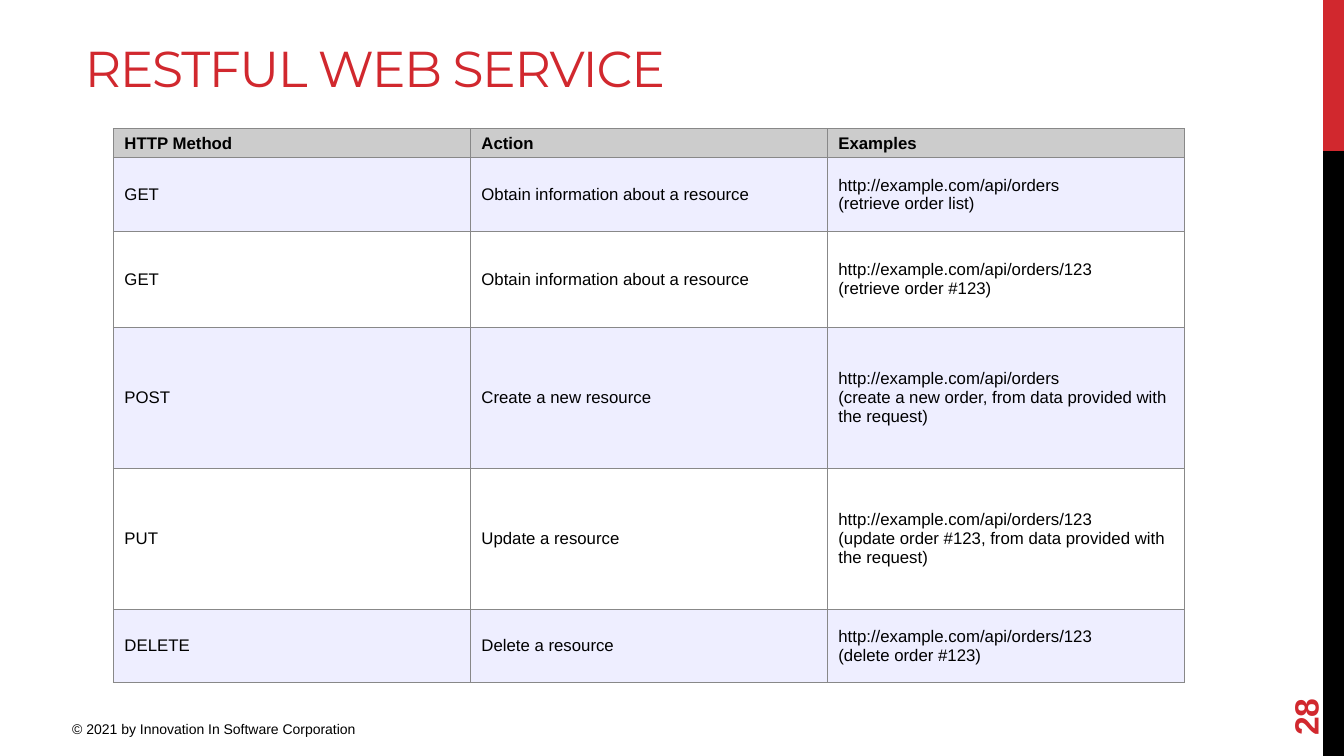
import pptx
import pptx.dml.color
import pptx.enum.shapes
import pptx.enum.text
import pptx.oxml
import pptx.oxml.ns
import pptx.util

Pt = pptx.util.Pt
ANCHOR = pptx.enum.text.MSO_ANCHOR

COLORS = {
    "red": "D1282E",
    "black": "000000",
    "header": "CCCCCC",
    "band": "EEEEFF",
    "plain": "FFFFFF",
    "border": "888888",
}
ROW_HEIGHTS = [20.88, 52.7, 68.5, 100.7, 100.7, 52.52]
METHODS = [
    ("HTTP Method", "Action", "Examples"),
    ("GET", "Obtain information about a resource",
     "http://example.com/api/orders\v(retrieve order list)"),
    ("GET", "Obtain information about a resource",
     "http://example.com/api/orders/123\v(retrieve order #123)"),
    ("POST", "Create a new resource",
     "http://example.com/api/orders\v(create a new order, from data provided with the request)"),
    ("PUT", "Update a resource",
     "http://example.com/api/orders/123\v(update order #123, from data provided with the request)"),
    ("DELETE", "Delete a resource",
     "http://example.com/api/orders/123\v(delete order #123)"),
]


def rgb(name):
    return pptx.dml.color.RGBColor.from_string(COLORS[name])


def set_font(para, size, color, name="Arial", bold=False):
    para.font.name = name
    para.font.size = Pt(size)
    para.font.bold = bold
    para.font.color.rgb = rgb(color)


def add_side_bar(page, left, top, width, height):
    """Red block over the top fifth, black below it."""
    split = height / 5
    for color, start, length in (("red", top, split), ("black", top + split, height - split)):
        bar = page.shapes.add_shape(pptx.enum.shapes.MSO_SHAPE.RECTANGLE,
                                    Pt(left), Pt(start), Pt(width), Pt(length))
        bar.shadow.inherit = False
        bar.fill.solid()
        bar.fill.fore_color.rgb = rgb(color)
        bar.line.fill.background()


def add_label(page, left, top, width, height, text, anchor=ANCHOR.TOP, **font):
    box = page.shapes.add_textbox(Pt(left), Pt(top), Pt(width), Pt(height))
    frame = box.text_frame
    frame.word_wrap = True
    frame.vertical_anchor = anchor
    frame.margin_left = frame.margin_right = Pt(3.6)
    frame.margin_top = frame.margin_bottom = Pt(3.6)
    frame.text = text
    set_font(frame.paragraphs[0], **font)
    return box


def add_title(page, left, top, width, height, text):
    box = add_label(page, left, top, width, height, text, ANCHOR.BOTTOM,
                    size=36, color="red", name="Montserrat")
    span = box.text_frame.paragraphs[0].runs[0]
    span.font._element.set("spc", "-100")


def add_page_number(page, left, top, side, number):
    box = add_label(page, left, top, side, side, number, ANCHOR.MIDDLE,
                    size=24, color="red", bold=True)
    box.rotation = 270


def set_borders(cell):
    properties = cell._tc.get_or_add_tcPr()
    for side in ("lnL", "lnR", "lnT", "lnB"):
        properties.append(pptx.oxml.parse_xml(
            f'<a:{side} {pptx.oxml.ns.nsdecls("a")} w="{Pt(0.75)}"><a:solidFill>'
            f'<a:srgbClr val="{COLORS["border"]}"/></a:solidFill></a:{side}>'))


def add_method_table(page, left, top, width):
    columns = len(METHODS[0])
    table = page.shapes.add_table(len(METHODS), columns, Pt(left), Pt(top),
                                  Pt(width), Pt(sum(ROW_HEIGHTS))).table
    for column in table.columns:
        column.width = Pt(width / columns)
    for index, (height, texts) in enumerate(zip(ROW_HEIGHTS, METHODS)):
        table.rows[index].height = Pt(height)
        is_header = index == 0
        fill = "header" if is_header else "band" if index % 2 else "plain"
        for cell, text in zip(table.rows[index].cells, texts):
            set_borders(cell)
            cell.fill.solid()
            cell.fill.fore_color.rgb = rgb(fill)
            cell.vertical_anchor = ANCHOR.MIDDLE
            cell.margin_left = cell.margin_right = Pt(7.92)
            cell.margin_top = cell.margin_bottom = Pt(2.16)
            cell.text_frame.text = text
            set_font(cell.text_frame.paragraphs[0], 12, "black", bold=is_header)


def main():
    deck = pptx.Presentation()
    deck.slide_width, deck.slide_height = Pt(960), Pt(540)
    page = deck.slides.add_slide(deck.slide_layouts[6])
    add_side_bar(page, 945, 0, 15, 540)
    add_page_number(page, 915, 494.6, 34.6, "28")
    add_title(page, 57, 0, 608, 73.4, "RESTFUL WEB SERVICE")
    add_label(page, 48, 511, 222.5, 19.4, "© 2021 by Innovation In Software Corporation",
              size=10, color="black")
    add_method_table(page, 81, 91.8, 765)
    deck.save("out.pptx")


if __name__ == "__main__":
    main()
